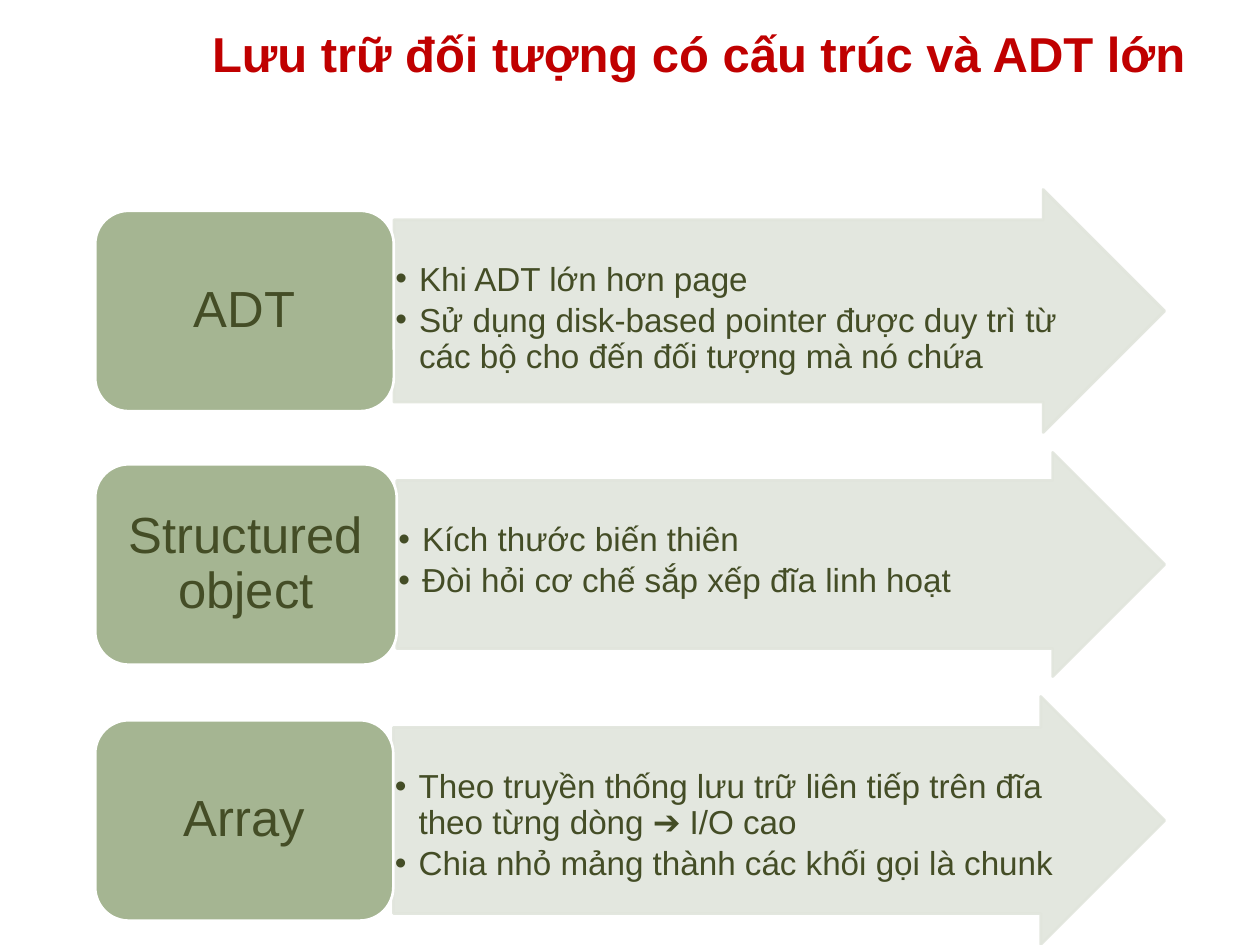
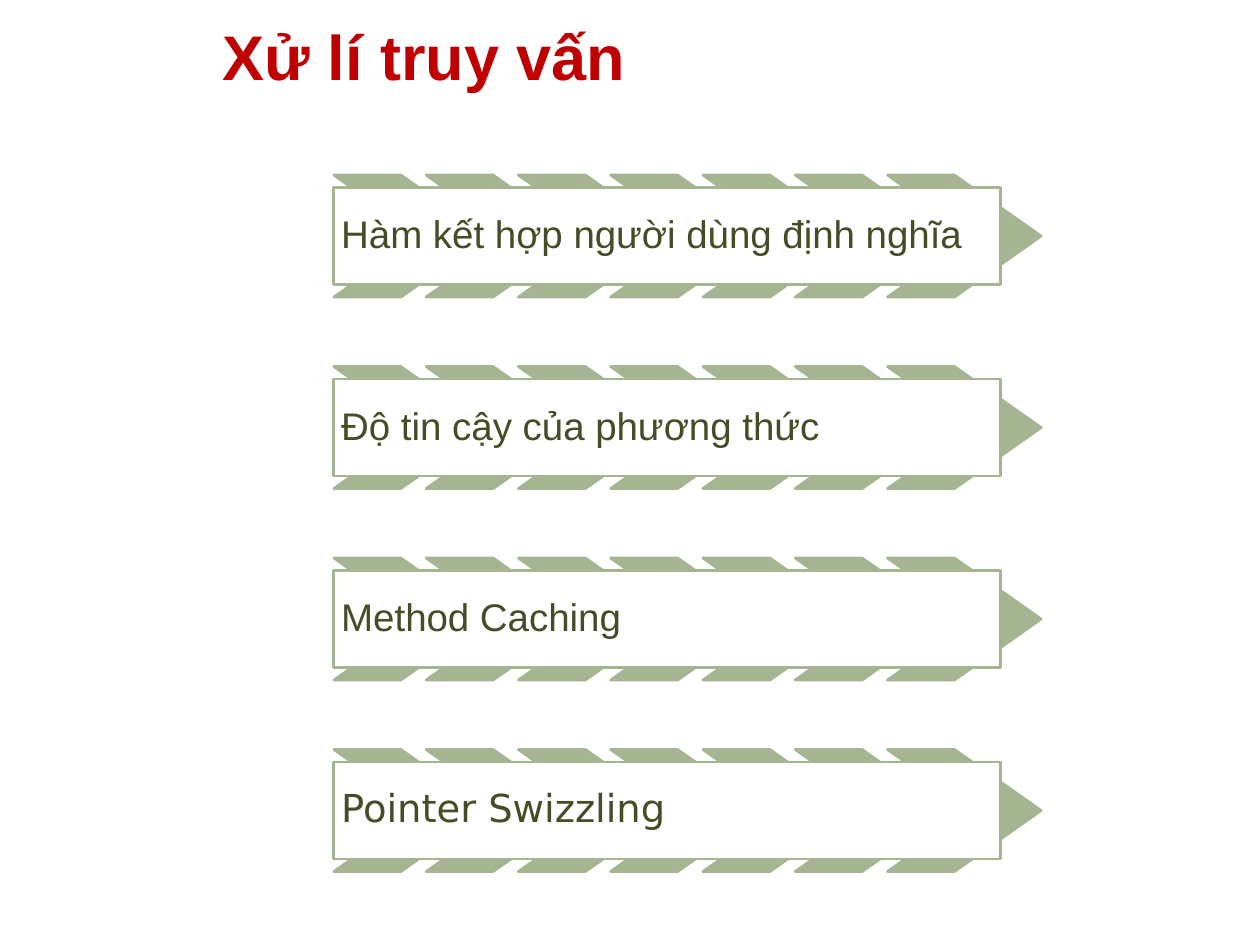
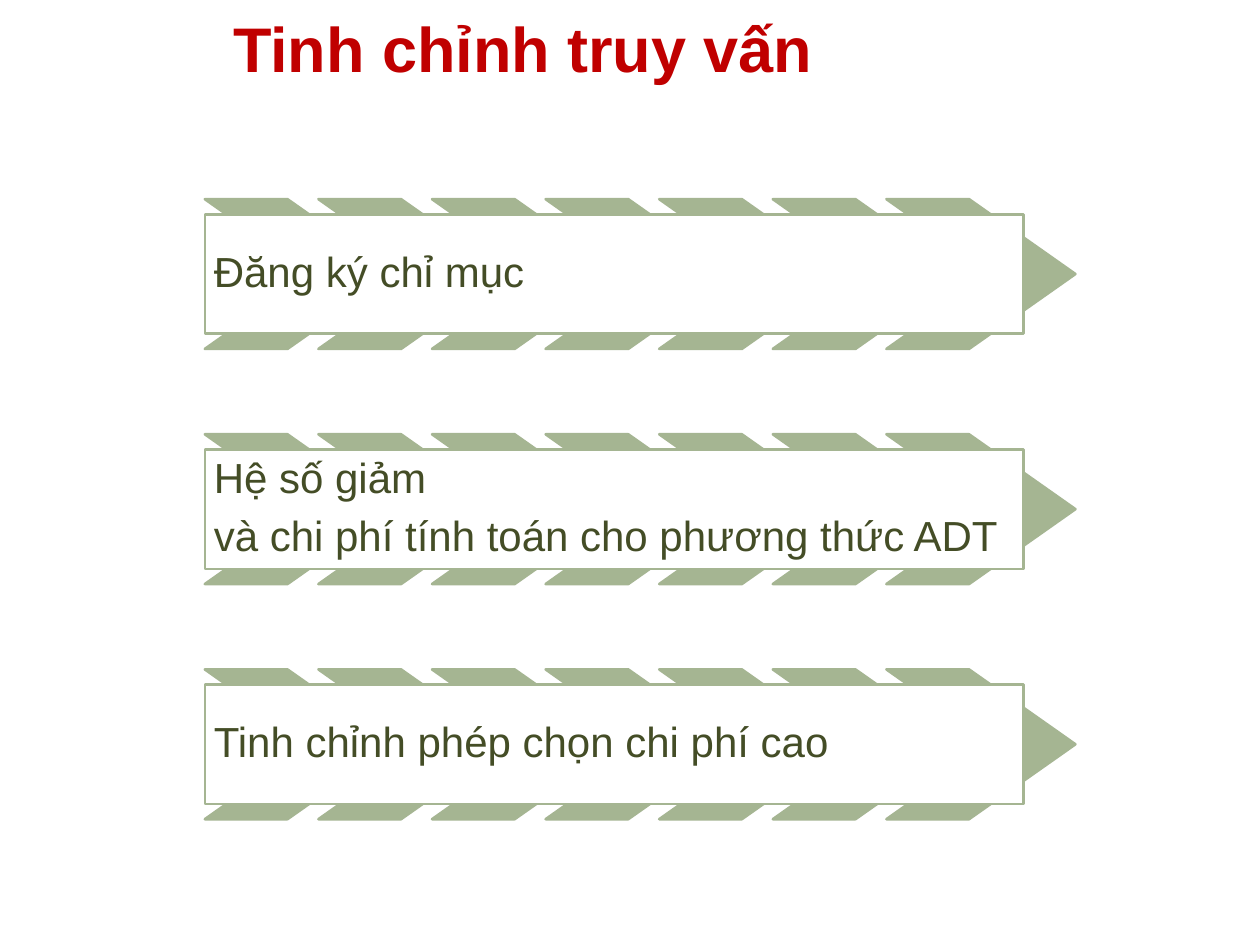
from dataclasses import dataclass

from lxml.etree import SubElement
from pptx import Presentation
from pptx.dml.color import RGBColor
from pptx.enum.shapes import MSO_SHAPE as Preset
from pptx.enum.text import MSO_ANCHOR as Anchor, MSO_AUTO_SIZE as AutoSize, PP_ALIGN as Align
from pptx.oxml.ns import qn
from pptx.shapes.autoshape import Shape
from pptx.slide import Slide
from pptx.text.text import TextFrame
from pptx.util import Cm, Length, Pt


@dataclass(frozen=True)
class Theme:
    title_color: RGBColor = RGBColor(0xC0, 0x00, 0x00)
    text_color: RGBColor = RGBColor(0x44, 0x4D, 0x26)
    accent: RGBColor = RGBColor(0xA5, 0xB5, 0x92)
    pale_accent: RGBColor = RGBColor(0xE1, 0xE5, 0xDC)
    white: RGBColor = RGBColor(0xFF, 0xFF, 0xFF)
    font: str = "Arial"
    alternate_font: str = "DejaVu Sans"
    title_size: int = 36
    long_title_size: int = 28
    label_size: int = 29
    list_size: int = 19
    line_width: Length = Pt(1.5)


THEME = Theme()


@dataclass(frozen=True)
class Box:
    """A frame measured in centimetres."""
    left: float
    top: float
    width: float
    height: float

    def lengths(self) -> tuple[Length, ...]:
        return Cm(self.left), Cm(self.top), Cm(self.width), Cm(self.height)


@dataclass(frozen=True)
class ArrowRow:
    label: str
    points: list[str]
    center: float
    split: float
    arrow_height: float


@dataclass(frozen=True)
class Banner:
    lines: list[str]
    font: str = THEME.font
    line_spacing: float | Length = 0.9


@dataclass(frozen=True)
class BannerStyle:
    first: Box
    row_pitch: float
    chevron_width: float
    chevron_height: float
    chevron_pitch: float
    inset: float
    size: int


LABEL_LEFT, LABEL_HEIGHT, ARROW_RIGHT = 1.92, 4.04, 23.48
CHEVRON_COUNT = 7

STORAGE_ROWS = [
    ArrowRow("ADT", [
        "Khi ADT lớn hơn page",
        "Sử dụng disk-based pointer được duy trì từ các bộ cho đến đối tượng mà nó chứa",
    ], center=6.27, split=7.94, arrow_height=4.9),
    ArrowRow("Structured object", [
        "Kích thước biến thiên",
        "Đòi hỏi cơ chế sắp xếp đĩa linh hoạt",
    ], center=11.38, split=8, arrow_height=4.52),
    ArrowRow("Array", [
        "Theo truyền thống lưu trữ liên tiếp trên đĩa theo từng dòng ➔ I/O cao",
        "Chia nhỏ mảng thành các khối gọi là chunk",
    ], center=16.54, split=7.93, arrow_height=5),
]

QUERY_BANNERS = [
    Banner(["Hàm kết hợp người dùng định nghĩa"]),
    Banner(["Độ tin cậy của phương thức"]),
    Banner(["Method Caching"]),
    Banner(["Pointer Swizzling"], font=THEME.alternate_font),
]
QUERY_STYLE = BannerStyle(Box(6.73, 3.78, 13.44, 1.96), row_pitch=3.86, chevron_width=3.1,
                          chevron_height=2.46, chevron_pitch=1.86, inset=0.15, size=22)

TUNING_BANNERS = [
    Banner(["Đăng ký chỉ mục"]),
    Banner(["Hệ số giảm", "và chi phí tính toán cho phương thức ADT"], line_spacing=Pt(25)),
    Banner(["Tinh chỉnh phép chọn chi phí cao"]),
]
TUNING_STYLE = BannerStyle(Box(4.13, 4.32, 16.51, 2.41), row_pitch=4.74, chevron_width=3.81,
                           chevron_height=3.02, chevron_pitch=2.29, inset=0.18, size=24)


def write_text(frame: TextFrame, lines: list[str], *, size: int, color: RGBColor = THEME.text_color,
               font: str = THEME.font, bold: bool = False, align: Align = Align.LEFT,
               anchor: Anchor = Anchor.MIDDLE, insets: tuple[float, ...] = (0.25, 0.13, 0.25, 0.13),
               line_spacing: float | Length = 0.9, space_ratio: float = 0.35,
               bulleted: bool = False) -> None:
    """Fill a frame; insets are left, top, right, bottom, and space_ratio is a share of the size."""
    frame.word_wrap = True
    frame.auto_size = AutoSize.NONE
    frame.vertical_anchor = anchor
    (frame.margin_left, frame.margin_top,
     frame.margin_right, frame.margin_bottom) = map(Cm, insets)
    for index, line in enumerate(lines):
        paragraph = frame.paragraphs[0] if index == 0 else frame.add_paragraph()
        paragraph.alignment = align
        paragraph.line_spacing = line_spacing
        paragraph.space_before = Pt(0)
        paragraph.space_after = Pt(size * space_ratio)
        if bulleted:
            add_bullet(paragraph)
        run = paragraph.add_run()
        run.text = line
        run.font.name = font
        run.font.size = Pt(size)
        run.font.bold = bold
        run.font.color.rgb = color


def add_bullet(paragraph, indent: Length = Cm(0.48)) -> None:
    properties = paragraph._p.get_or_add_pPr()
    properties.set("marL", str(indent))
    properties.set("indent", str(-indent))
    SubElement(properties, qn("a:buFont")).set("typeface", THEME.font)
    SubElement(properties, qn("a:buChar")).set("char", "•")


def add_preset(slide: Slide, preset: Preset, box: Box, *, fill: RGBColor, line: RGBColor,
               adjustments: tuple[float, ...] = (), opacity: int = 100) -> Shape:
    shape = slide.shapes.add_shape(preset, *box.lengths())
    shape.shadow.inherit = False
    shape.fill.solid()
    shape.fill.fore_color.rgb = fill
    shape.line.color.rgb = line
    shape.line.width = THEME.line_width
    for index, value in enumerate(adjustments):
        shape.adjustments[index] = value
    if opacity < 100:
        for color in shape._element.spPr.iter(qn("a:srgbClr")):
            SubElement(color, qn("a:alpha")).set("val", str(opacity * 1000))
    return shape


def add_titled_slide(presentation: Presentation, title: str, box: Box, *,
                     size: int = THEME.title_size, align: Align = Align.LEFT) -> Slide:
    slide = presentation.slides.add_slide(presentation.slide_layouts.get_by_name("Title Only"))
    placeholder = slide.shapes.title
    placeholder.left, placeholder.top, placeholder.width, placeholder.height = box.lengths()
    write_text(placeholder.text_frame, [title], size=size, color=THEME.title_color, bold=True,
               align=align, line_spacing=1.0, space_ratio=0)
    return slide


def add_arrow_row(slide: Slide, row: ArrowRow) -> None:
    arrow_box = Box(row.split, row.center - row.arrow_height / 2,
                    ARROW_RIGHT - row.split, row.arrow_height)
    arrow = add_preset(slide, Preset.RIGHT_ARROW, arrow_box, fill=THEME.pale_accent,
                       line=THEME.pale_accent, adjustments=(0.75, 0.5), opacity=90)
    write_text(arrow.text_frame, row.points, size=THEME.list_size, anchor=Anchor.TOP,
               insets=(0.03, 0.86, 0.03, 0.03), space_ratio=0.15, bulleted=True)

    label_box = Box(LABEL_LEFT, row.center - LABEL_HEIGHT / 2,
                    row.split - LABEL_LEFT, LABEL_HEIGHT)
    label = add_preset(slide, Preset.ROUNDED_RECTANGLE, label_box,
                       fill=THEME.accent, line=THEME.white)
    write_text(label.text_frame, [row.label], size=THEME.label_size, align=Align.CENTER,
               insets=(0.3, 0.15, 0.3, 0.15))


def add_banners(slide: Slide, banners: list[Banner], style: BannerStyle) -> None:
    """Stack text boxes, each over a band of chevrons centred behind it."""
    first = style.first
    overhang = (style.chevron_height - first.height) / 2
    for row, banner in enumerate(banners):
        top = first.top + row * style.row_pitch
        for column in range(CHEVRON_COUNT):
            chevron_box = Box(first.left + column * style.chevron_pitch, top - overhang,
                              style.chevron_width, style.chevron_height)
            add_preset(slide, Preset.CHEVRON, chevron_box, fill=THEME.accent,
                       line=THEME.accent, adjustments=(0.71,))
        panel = add_preset(slide, Preset.RECTANGLE, Box(first.left, top, first.width, first.height),
                           fill=THEME.white, line=THEME.accent)
        write_text(panel.text_frame, banner.lines, size=style.size, font=banner.font,
                   insets=(style.inset,) * 4, line_spacing=banner.line_spacing)


def main() -> None:
    presentation = Presentation()
    presentation.slide_width, presentation.slide_height = Cm(25.4), Cm(19.05)

    storage = add_titled_slide(presentation, "Lưu trữ đối tượng có cấu trúc và ADT lớn",
                               Box(1.7, -0.84, 24.77, 3.81), size=THEME.long_title_size,
                               align=Align.CENTER)
    for row in STORAGE_ROWS:
        add_arrow_row(storage, row)

    query = add_titled_slide(presentation, "Xử lí truy vấn", Box(4.24, 0, 21.59, 2.21))
    add_banners(query, QUERY_BANNERS, QUERY_STYLE)

    tuning = add_titled_slide(presentation, "Tinh chỉnh truy vấn", Box(4.45, -0.64, 13.13, 3.18))
    add_banners(tuning, TUNING_BANNERS, TUNING_STYLE)

    presentation.save("out.pptx")


if __name__ == "__main__":
    main()
